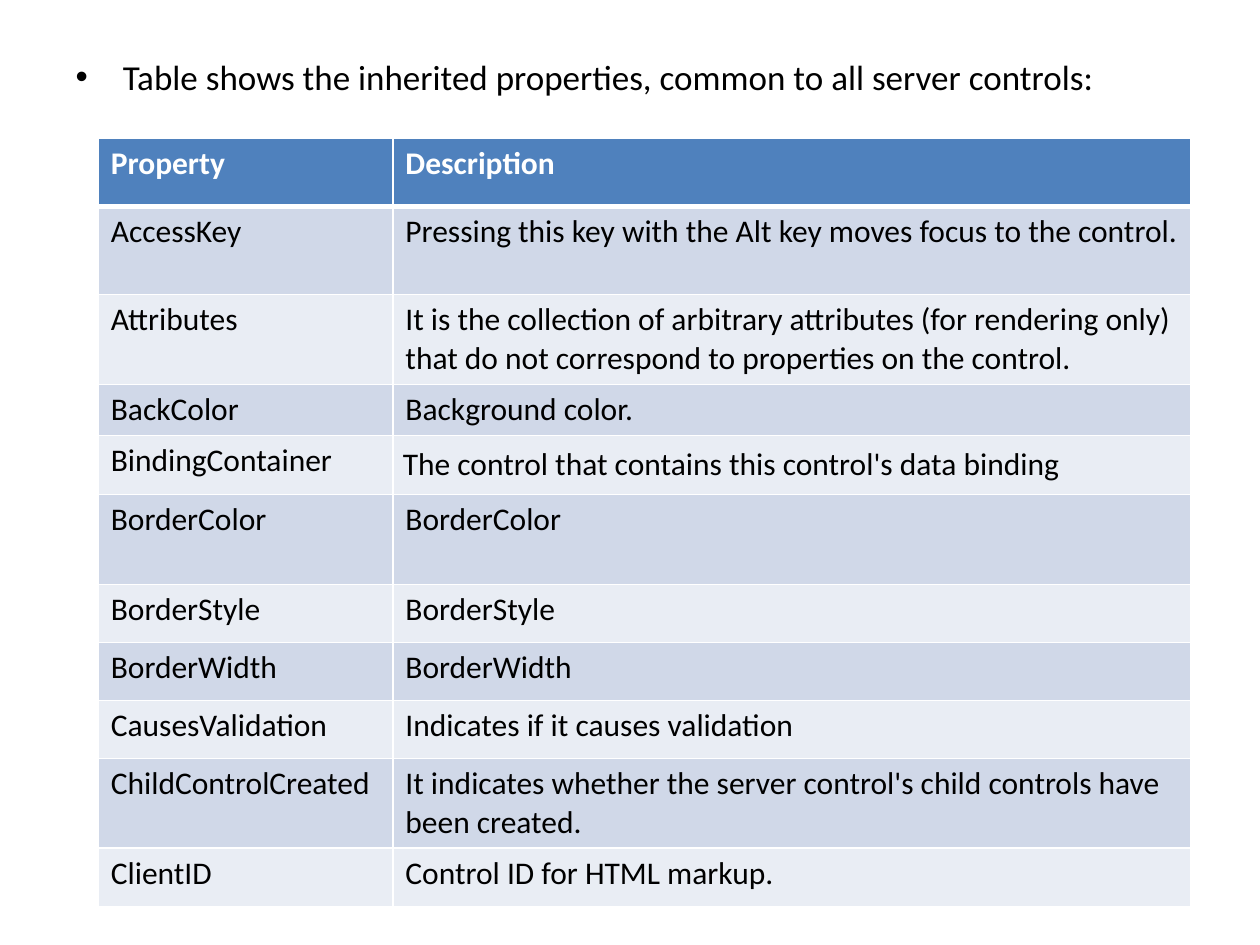
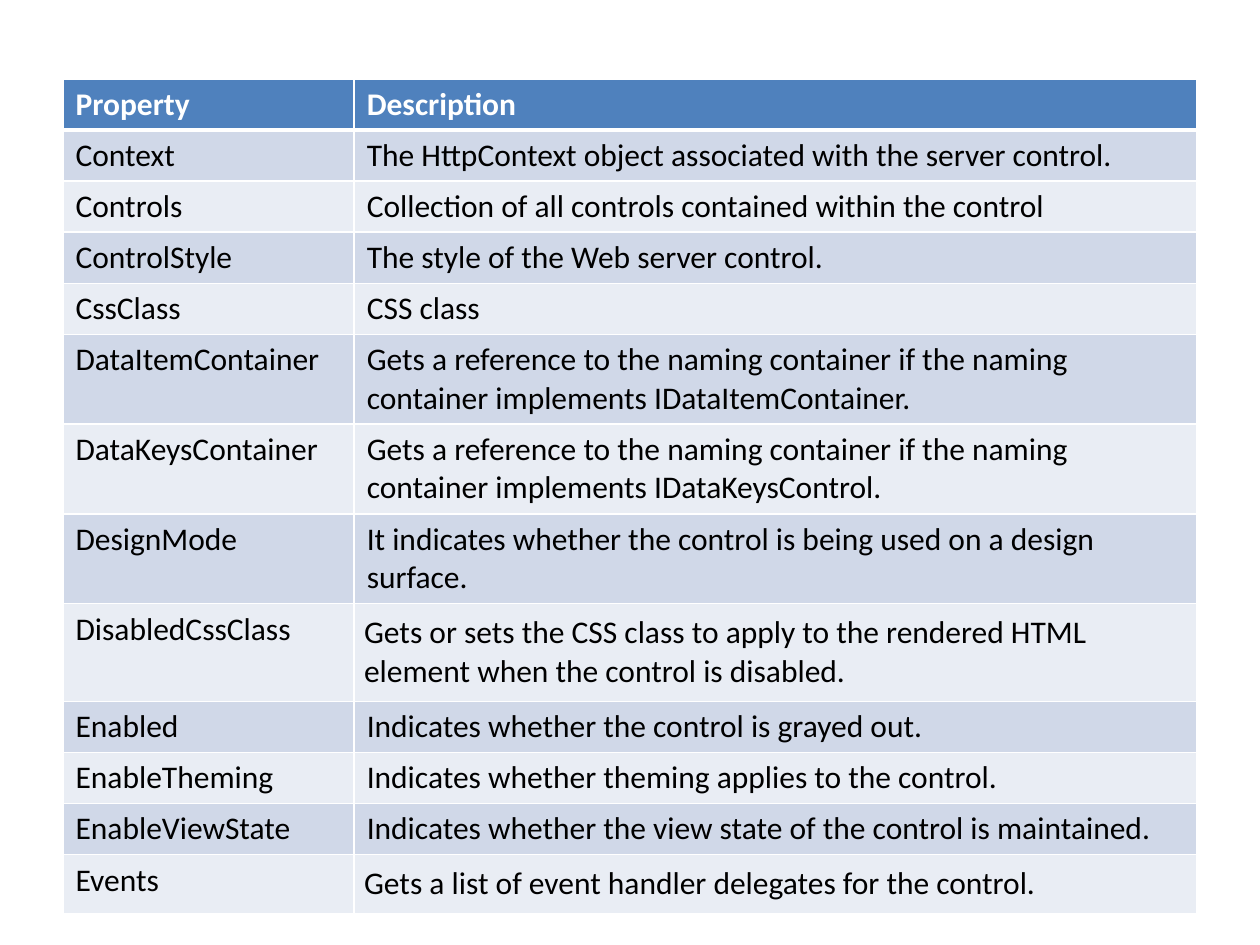
"""Build two slides listing the inherited properties of server controls."""
from lxml.etree import SubElement
from pptx import Presentation
from pptx.dml.color import RGBColor
from pptx.oxml.ns import qn
from pptx.util import Cm, Pt

WHITE = RGBColor(0xFF, 0xFF, 0xFF)
BLACK = RGBColor(0x00, 0x00, 0x00)
BLUE = RGBColor(0x4F, 0x81, 0xBD)
BAND_DARK = RGBColor(0xD0, 0xD8, 0xE8)
BAND_LIGHT = RGBColor(0xE9, 0xED, 0xF4)
FONT = "Calibri"
HEADER = ("Property", "Description")
INSET = Cm(0.2)
ONE_LINE, TALL_LINE, TWO_LINES = 1.03, 1.17, 1.81
PADDED_LINE, PADDED_TWO_LINES = 1.19, 1.97
PADDED = (PADDED_LINE, PADDED_TWO_LINES)


def add_run(p, text, size, color, bold=False):
    r = p.add_run()
    r.text = text
    r.font.name = FONT
    r.font.size = Pt(size)
    r.font.bold = bold
    r.font.color.rgb = color


def add_property_table(s, left, top, widths, header_height, properties):
    rows = [(*HEADER, header_height), *properties]
    height = sum(row[2] for row in rows)
    frame = s.shapes.add_table(len(rows), 2, Cm(left), Cm(top), Cm(sum(widths)), Cm(height))
    table = frame.table
    for column, width in zip(table.columns, widths):
        column.width = Cm(width)
    for i, (name, description, row_height) in enumerate(rows):
        table.rows[i].height = Cm(row_height)
        is_header = i == 0
        fill = BLUE if is_header else BAND_DARK if i % 2 else BAND_LIGHT
        for j, text in enumerate((name, description)):
            cell = table.cell(i, j)
            add_run(cell.text_frame.paragraphs[0], text, 18,
                    WHITE if is_header else BLACK, is_header)
            if j == 1 and row_height in PADDED:
                cell.margin_left = cell.margin_right = INSET
                cell.margin_top = cell.margin_bottom = INSET
            tcPr = cell._tc.get_or_add_tcPr()
            for side in ("lnL", "lnR", "lnT", "lnB"):
                thick = (i, side) in ((0, "lnB"), (1, "lnT"))
                ln = SubElement(tcPr, qn(f"a:{side}"), w=str(Pt(3 if thick else 1)))
                line_fill = SubElement(ln, qn("a:solidFill"))
                SubElement(line_fill, qn("a:srgbClr"), val=str(WHITE))
            cell.fill.solid()
            cell.fill.fore_color.rgb = fill


prs = Presentation()
prs.slide_width = Cm(25.4)
prs.slide_height = Cm(19.05)

s = prs.slides.add_slide(prs.slide_layouts[1])
title = s.shapes.title
title.element.getparent().remove(title.element)
body = s.placeholders[1]
body.left, body.top, body.width, body.height = Cm(1.27), Cm(0.99), Cm(22.86), Cm(16.03)
add_run(body.text_frame.paragraphs[0],
        "Table shows the inherited properties, common to all server controls:", 20, BLACK)

add_property_table(s, 1.98, 2.78, (5.94, 16.08), 1.38, [
    ("AccessKey", "Pressing this key with the Alt key moves focus to the control.", 1.78),
    ("Attributes", "It is the collection of arbitrary attributes (for rendering only) "
     "that do not correspond to properties on the control.", TWO_LINES),
    ("BackColor", "Background color.", ONE_LINE),
    ("BindingContainer", "The control that contains this control's data binding", PADDED_LINE),
    ("BorderColor", "BorderColor", TWO_LINES),
    ("BorderStyle", "BorderStyle", TALL_LINE),
    ("BorderWidth", "BorderWidth", TALL_LINE),
    ("CausesValidation", "Indicates if it causes validation", TALL_LINE),
    ("ChildControlCreated", "It indicates whether the server control's child controls "
     "have been created.", TWO_LINES),
    ("ClientID", "Control ID for HTML markup.", TALL_LINE),
])

s = prs.slides.add_slide(prs.slide_layouts[6])
add_property_table(s, 1.27, 1.59, (5.87, 16.99), ONE_LINE, [
    ("Context", "The HttpContext object associated with the server control.", ONE_LINE),
    ("Controls", "Collection of all controls contained within the control", ONE_LINE),
    ("ControlStyle", "The style of the Web server control.", ONE_LINE),
    ("CssClass", "CSS class", ONE_LINE),
    ("DataItemContainer", "Gets a reference to the naming container if the naming "
     "container implements IDataItemContainer.", TWO_LINES),
    ("DataKeysContainer", "Gets a reference to the naming container if the naming "
     "container implements IDataKeysControl.", TWO_LINES),
    ("DesignMode", "It indicates whether the control is being used on a design surface.",
     TWO_LINES),
    ("DisabledCssClass", "Gets or sets the CSS class to apply to the rendered HTML "
     "element when the control is disabled.", PADDED_TWO_LINES),
    ("Enabled", "Indicates whether the control is grayed out.", ONE_LINE),
    ("EnableTheming", "Indicates whether theming applies to the control.", ONE_LINE),
    ("EnableViewState", "Indicates whether the view state of the control is maintained.",
     ONE_LINE),
    ("Events", "Gets a list of event handler delegates for the control.", PADDED_LINE),
])

prs.save("out.pptx")
